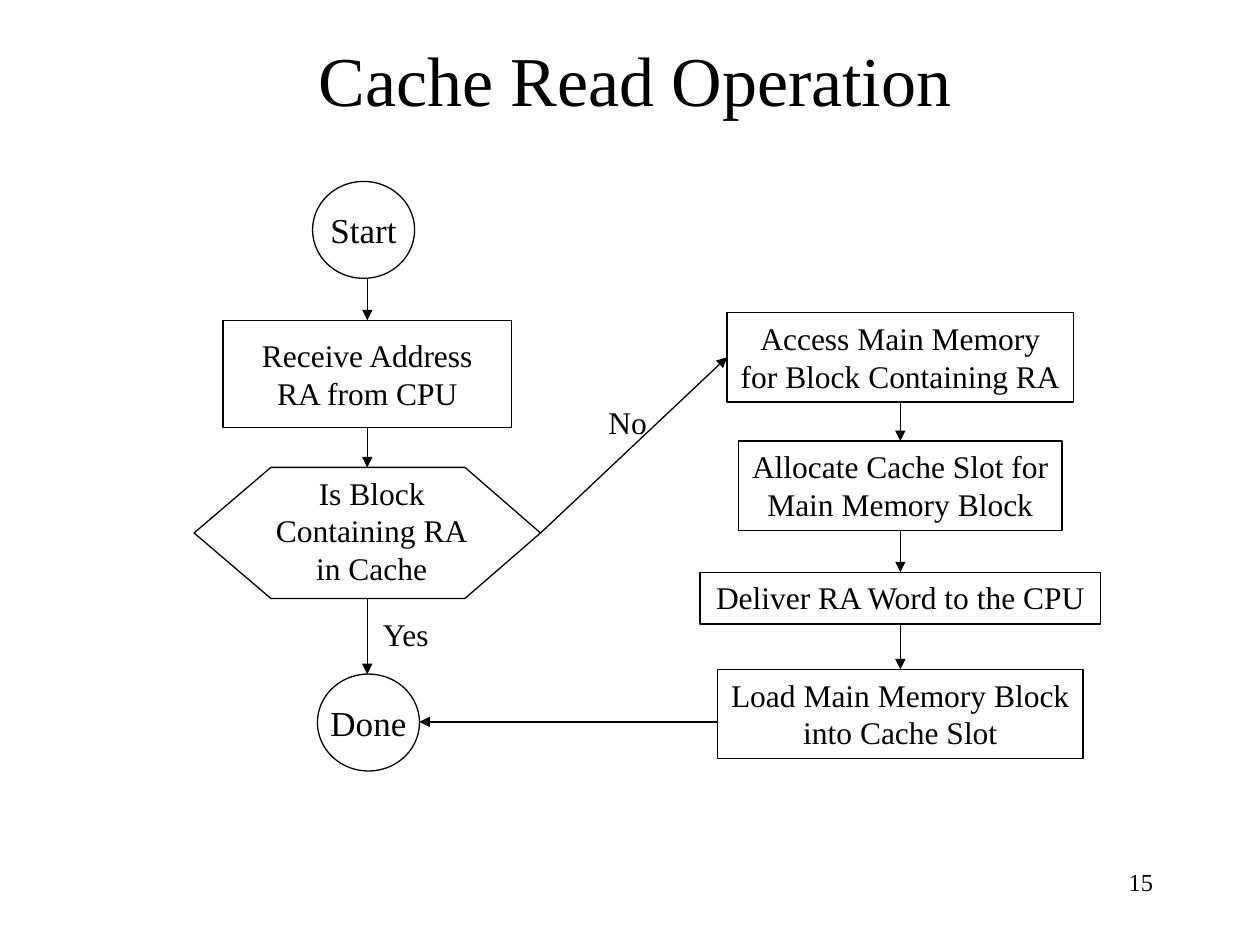
from dataclasses import dataclass
from itertools import pairwise
from typing import NamedTuple

from lxml.etree import SubElement
from pptx import Presentation
from pptx.dml.color import RGBColor
from pptx.enum.shapes import MSO_CONNECTOR as Wire, MSO_SHAPE as Kind
from pptx.enum.text import MSO_ANCHOR as Anchor, MSO_AUTO_SIZE as Fit, PP_ALIGN as Align
from pptx.oxml.ns import qn
from pptx.util import Pt


@dataclass(frozen=True)
class Theme:
    font: str = "Times New Roman"
    ink: RGBColor = RGBColor(0, 0, 0)
    title: float = 40
    round: float = 20
    body: float = 18
    page: float = 14
    line: float = 0.75


@dataclass(frozen=True)
class Box:
    text: str
    left: float
    top: float
    width: float
    height: float
    kind: Kind = Kind.RECTANGLE
    size: float = Theme.body
    anchor: Anchor = Anchor.MIDDLE


@dataclass(frozen=True)
class Label:
    text: str
    left: float
    top: float
    width: float
    height: float
    align: Align = Align.LEFT
    size: float = Theme.body


class Point(NamedTuple):
    x: float
    y: float


class Joint(NamedTuple):
    shape: object
    side: int


THEME = Theme()
TOP, LEFT, BOTTOM = 0, 1, 2
MID = 514.5  # centre of the right column
AXIS = 209.9  # centre of the left column


def step(text: str, top: float, width: float, height: float = 51.1) -> Box:
    """Describe a box centred on the right column."""
    return Box(text, MID - width / 2, top, width, height, anchor=Anchor.TOP)


START = Box("Start", 178.6, 103.7, 58.3, 55.4, Kind.OVAL, THEME.round)
DONE = Box("Done", 181.4, 385.2, 58.3, 55.4, Kind.OVAL, THEME.round)
FETCH = Box("Receive Address\nRA from CPU", AXIS - 82.5, 183, 165, 61.4)
STEPS = [
    step("Access Main Memory\nfor Block Containing RA", 178.6, 198),
    step("Allocate Cache Slot for\nMain Memory Block", 252, 185),
    step("Deliver RA Word to the CPU", 327, 229, 29.6),
    step("Load Main Memory Block\ninto Cache Slot", 382.5, 208.8),
]
TEST = [
    Point(110.9, 304.6), Point(154.8, 267.1), Point(265.7, 267.1),
    Point(308.9, 304.6), Point(265.7, 342), Point(154.8, 342),
]
LABELS = [
    Label("Is Block\nContaining RA\nin Cache", 150.5, 267.1, 123.8, 72, Align.CENTER),
    Label("No", 340.6, 226.8, 36.7, 29),
    Label("Yes", 211.7, 347.8, 42.5, 29),
    Label("15", 516.2, 491.8, 149.8, 36, Align.RIGHT, THEME.page),
]


def write(shape, text: str, size: float, align: Align, anchor: Anchor) -> None:
    frame = shape.text_frame
    frame.text = text
    frame.word_wrap = False
    frame.auto_size = Fit.NONE
    frame.vertical_anchor = anchor
    for para in frame.paragraphs:
        para.alignment = align
        for run in para.runs:
            run.font.name = THEME.font
            run.font.size = Pt(size)
            run.font.color.rgb = THEME.ink


def stroke(line) -> None:
    line.color.rgb = THEME.ink
    line.width = Pt(THEME.line)


def hollow(shape) -> None:
    """Leave only a thin outline on the shape."""
    shape.shadow.inherit = False
    shape.fill.background()
    stroke(shape.line)


def place(box: Box | Label) -> list[Pt]:
    return [Pt(n) for n in (box.left, box.top, box.width, box.height)]


def draw(shapes, box: Box):
    shape = shapes.add_shape(box.kind, *place(box))
    hollow(shape)
    write(shape, box.text, box.size, Align.CENTER, box.anchor)
    return shape


def label(shapes, item: Label) -> None:
    shape = shapes.add_textbox(*place(item))
    write(shape, item.text, item.size, item.align, Anchor.TOP)
    shape.text_frame.word_wrap = item.align == Align.RIGHT


def outline(shapes, points: list[Point]) -> None:
    first, *rest = [(Pt(p.x), Pt(p.y)) for p in points]
    path = shapes.build_freeform(*first)
    path.add_line_segments(rest, close=True)
    hollow(path.convert_to_shape())


def arrow(shapes, start: Point | Joint, end: Point | Joint) -> None:
    """Draw an arrow whose ends are free points or joints on a box."""
    first, last = (p if isinstance(p, Point) else Point(0, 0) for p in (start, end))
    wire = shapes.add_connector(
        Wire.STRAIGHT, Pt(first.x), Pt(first.y), Pt(last.x), Pt(last.y))
    if isinstance(start, Joint):
        wire.begin_connect(*start)
    if isinstance(end, Joint):
        wire.end_connect(*end)
    stroke(wire.line)
    SubElement(wire.line._get_or_add_ln(), qn("a:tailEnd"), type="triangle")
    SubElement(wire._element.spPr, qn("a:effectLst"))


def main() -> None:
    deck = Presentation()
    deck.slide_width, deck.slide_height = Pt(720), Pt(540)
    slide = deck.slides.add_slide(deck.slide_layouts[5])
    shapes = slide.shapes

    title = shapes.title
    title.left, title.top, title.width, title.height = Pt(56.9), Pt(0), Pt(612), Pt(90)
    write(title, "Cache Read Operation", THEME.title, Align.CENTER, Anchor.MIDDLE)

    draw(shapes, START)
    fetch = draw(shapes, FETCH)
    outline(shapes, TEST)
    steps = [draw(shapes, box) for box in STEPS]
    draw(shapes, DONE)

    arrow(shapes, Point(AXIS, START.top + START.height), Joint(fetch, TOP))
    arrow(shapes, Joint(fetch, BOTTOM), Point(AXIS, TEST[1].y))
    arrow(shapes, TEST[3], Joint(steps[0], LEFT))
    arrow(shapes, Point(AXIS, TEST[4].y), Point(AXIS, DONE.top))
    for upper, lower in pairwise(steps):
        arrow(shapes, Joint(upper, BOTTOM), Joint(lower, TOP))
    arrow(shapes, Point(STEPS[-1].left, 412.5), Point(DONE.left + DONE.width, 412.5))

    for item in LABELS:
        label(shapes, item)
    deck.save("out.pptx")


if __name__ == "__main__":
    main()
